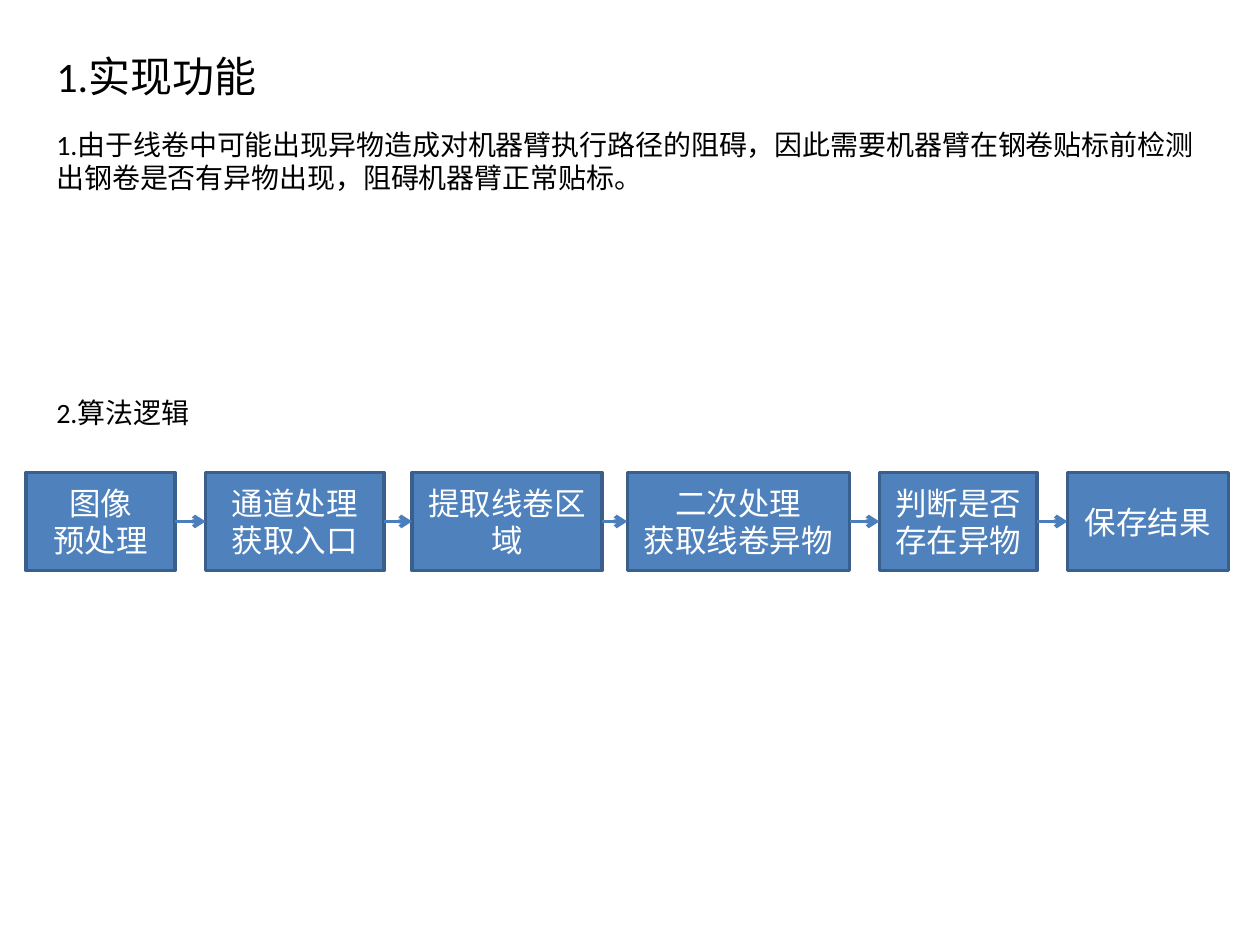
from dataclasses import dataclass
from itertools import pairwise

from lxml.etree import SubElement
from pptx import Presentation
from pptx.dml.color import RGBColor
from pptx.enum.shapes import MSO_CONNECTOR, MSO_SHAPE
from pptx.enum.text import MSO_ANCHOR, MSO_AUTO_SIZE, PP_ALIGN
from pptx.oxml.ns import qn
from pptx.util import Pt


@dataclass(frozen=True)
class Theme:
    """Colours, type sizes and line widths of the slide."""

    font: str = "Calibri"
    ink: RGBColor = RGBColor(0x00, 0x00, 0x00)
    step_text: RGBColor = RGBColor(0xFF, 0xFF, 0xFF)
    step_fill: RGBColor = RGBColor(0x4F, 0x81, 0xBD)
    step_line: RGBColor = RGBColor(0x3A, 0x5F, 0x8C)
    arrow: RGBColor = RGBColor(0x4B, 0x7E, 0xBC)
    title_size: float = 24
    body_size: float = 16
    step_size: float = 18
    step_line_width: float = 2
    arrow_width: float = 2.25


THEME = Theme()
STEP_TOP, STEP_HEIGHT = 270, 56
STEPS = [
    (15, 85, "图像\n预处理"),
    (117.5, 102, "通道处理获取入口"),
    (235.5, 108.5, "提取线卷区域"),
    (358.5, 127, "二次处理\n获取线卷异物"),
    (502.5, 90, "判断是否存在异物"),
    (610, 92, "保存结果"),
]
BODY = [
    "1.由于线卷中可能出现异物造成对机器臂执行路径的阻碍，因此需要机器臂在钢卷贴标前检测出钢卷是否有异物出现，阻碍机器臂正常贴标。",
    "2.算法逻辑",
]
SECTION_GAP = 115


def set_text(shape, text, size, color, alignment, anchor):
    """Fill a shape with evenly formatted text."""
    text_frame = shape.text_frame
    text_frame.text = text
    text_frame.word_wrap = True
    text_frame.auto_size = MSO_AUTO_SIZE.NONE
    text_frame.vertical_anchor = anchor
    for paragraph in text_frame.paragraphs:
        paragraph.alignment = alignment
        paragraph.space_before = Pt(0)
        for run in paragraph.runs:
            run.font.name = THEME.font
            run.font.size = Pt(size)
            run.font.color.rgb = color


def place(shape, left, top, width, height):
    """Move and size a shape, in points."""
    shape.left, shape.top = Pt(left), Pt(top)
    shape.width, shape.height = Pt(width), Pt(height)


def fill_title(shape):
    """Write the slide title."""
    place(shape, 25, 21, 523, 44)
    set_text(shape, "1.实现功能", THEME.title_size, THEME.ink, PP_ALIGN.LEFT, MSO_ANCHOR.MIDDLE)


def fill_body(shape):
    """Write the two numbered passages without bullets."""
    place(shape, 25, 69, 680.5, 259)
    set_text(shape, "\n".join(BODY), THEME.body_size, THEME.ink, PP_ALIGN.LEFT, MSO_ANCHOR.TOP)
    paragraphs = shape.text_frame.paragraphs
    paragraphs[-1].space_before = Pt(SECTION_GAP)
    for paragraph in paragraphs:
        properties = paragraph._p.get_or_add_pPr()
        properties.set("marL", "0")
        properties.set("indent", "0")
        SubElement(properties, qn("a:buNone"))


def add_step(slide, left, width, text):
    """Add one process box."""
    shape = slide.shapes.add_shape(
        MSO_SHAPE.FLOWCHART_PROCESS, Pt(left), Pt(STEP_TOP), Pt(width), Pt(STEP_HEIGHT)
    )
    shape.shadow.inherit = False
    shape.fill.solid()
    shape.fill.fore_color.rgb = THEME.step_fill
    shape.line.color.rgb = THEME.step_line
    shape.line.width = Pt(THEME.step_line_width)
    set_text(shape, text, THEME.step_size, THEME.step_text, PP_ALIGN.CENTER, MSO_ANCHOR.MIDDLE)
    return shape


def add_arrow(slide, source, target):
    """Join the right side of one box to the left side of the next."""
    connector = slide.shapes.add_connector(MSO_CONNECTOR.STRAIGHT, 0, 0, 0, 0)
    connector.begin_connect(source, 3)
    connector.end_connect(target, 1)
    connector.line.color.rgb = THEME.arrow
    connector.line.width = Pt(THEME.arrow_width)
    SubElement(connector.line._get_or_add_ln(), qn("a:tailEnd"), type="arrow")
    SubElement(connector._element.spPr, qn("a:effectLst"))


def main():
    """Build and save the slide."""
    presentation = Presentation()
    presentation.slide_width, presentation.slide_height = Pt(720), Pt(540)
    slide = presentation.slides.add_slide(presentation.slide_layouts[1])
    fill_title(slide.shapes.title)
    fill_body(slide.placeholders[1])
    steps = [add_step(slide, *step) for step in STEPS]
    for source, target in pairwise(steps):
        add_arrow(slide, source, target)
    presentation.save("out.pptx")


if __name__ == "__main__":
    main()
